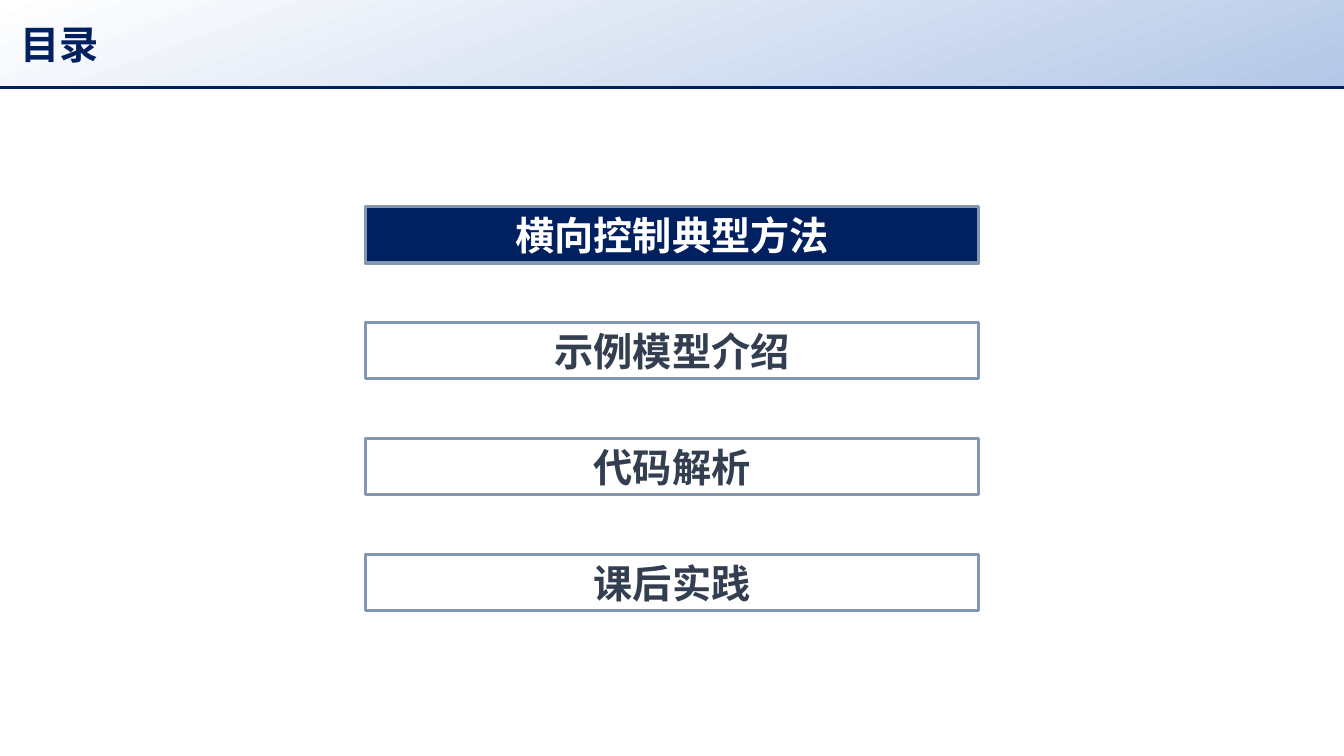
from pptx import Presentation, util as u
from pptx.dml.color import RGBColor
from pptx.enum import shapes, text
from pptx.oxml.ns import qn
from lxml import etree

FONT = "Noto Sans CJK SC"
C = {"navy": "002060", "sky": "B4C7E7", "white": "FFFFFF",
     "border": "8497B0", "slate": "333F50"}
ITEMS = ["横向控制典型方法", "示例模型介绍", "代码解析", "课后实践"]


def rgb(name):
    return RGBColor.from_string(C[name])


def write(sp, words, color, align):
    tf = sp.text_frame
    tf.vertical_anchor = text.MSO_ANCHOR.MIDDLE
    p = tf.paragraphs[0]
    p.alignment = align
    r = p.add_run()
    r.text = words
    r.font.size = u.Pt(28)
    r.font.bold = True
    r.font.name = FONT
    r.font.color.rgb = rgb(color)
    etree.SubElement(r.font._element, qn("a:ea")).set("typeface", FONT)


prs = Presentation()
prs.slide_width, prs.slide_height = u.Inches(13.33), u.Inches(7.5)
W = prs.slide_width
s = prs.slides.add_slide(prs.slide_layouts[5])

bar_h = u.Inches(0.87)
title = s.shapes.title
title.left, title.top, title.width, title.height = 0, 0, W, bar_h
title.fill.gradient()
title.fill.gradient_angle = 290
for stop, name in zip(title.fill.gradient_stops, ["white", "sky"]):
    stop.color.rgb = rgb(name)
for stop, position in zip(title.fill.gradient_stops, [0, 1]):
    stop.position = position
title.text_frame.margin_left = u.Inches(0.2)
write(title, "目录", "navy", text.PP_ALIGN.LEFT)

rule = s.shapes.add_connector(shapes.MSO_CONNECTOR.STRAIGHT, 0, bar_h, W, bar_h)
rule.line.color.rgb = rgb("navy")
rule.line.width = u.Pt(2.25)
etree.SubElement(rule._element.spPr, qn("a:effectLst"))

box_w, box_h = u.Inches(6.08), u.Inches(0.56)
top, pitch = u.Inches(2.05), u.Inches(1.15)
for i, item in enumerate(ITEMS):
    fill, ink = ("navy", "white") if i == 0 else ("white", "slate")
    sp = s.shapes.add_shape(shapes.MSO_SHAPE.RECTANGLE, (W - box_w) // 2,
                            top + i * pitch, box_w, box_h)
    sp.shadow.inherit = False
    sp.fill.solid()
    sp.fill.fore_color.rgb = rgb(fill)
    sp.line.color.rgb = rgb("border")
    sp.line.width = u.Pt(2.25)
    sp.text_frame.margin_top = sp.text_frame.margin_bottom = u.Inches(0.04)
    write(sp, item, ink, text.PP_ALIGN.CENTER)

prs.save("out.pptx")
